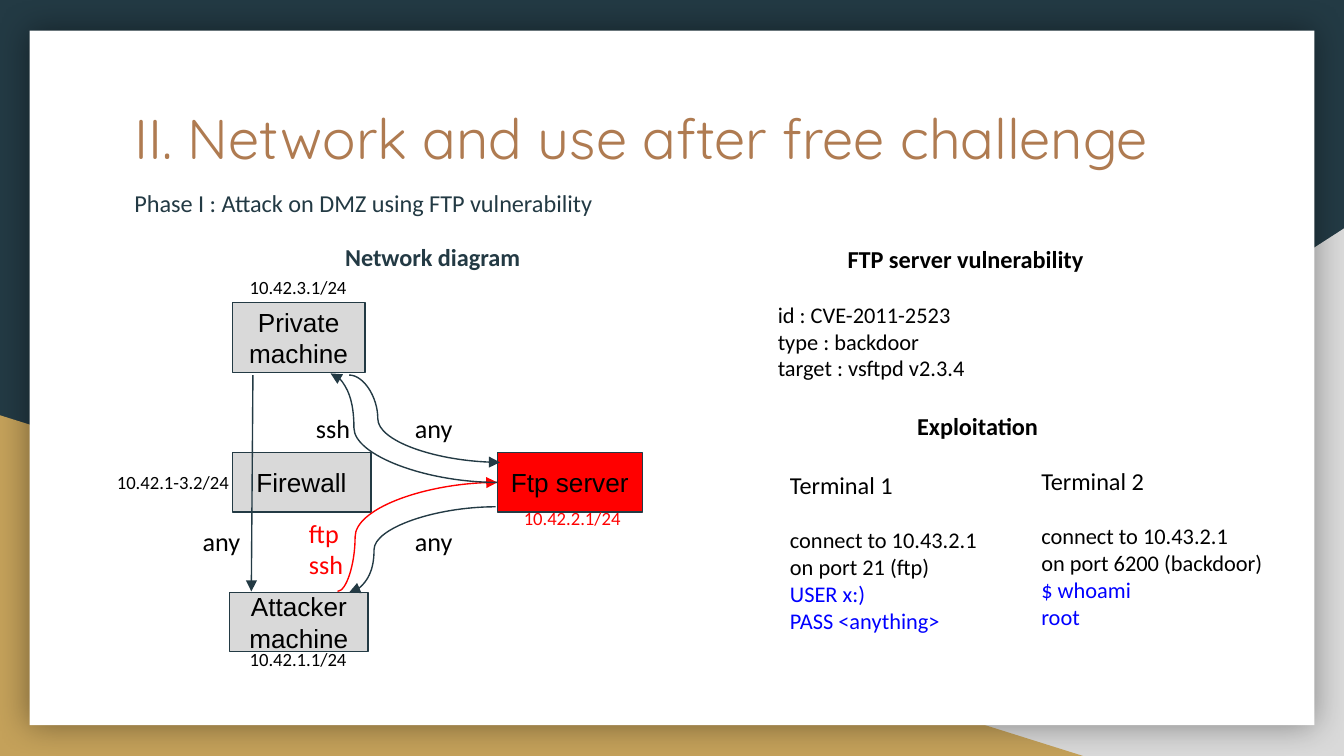
from lxml import etree
from pptx import Presentation
from pptx.dml.color import RGBColor
from pptx.enum.shapes import MSO_CONNECTOR, MSO_SHAPE
from pptx.enum.text import MSO_ANCHOR, PP_ALIGN
from pptx.oxml.ns import qn
from pptx.util import Cm, Pt

RECT, WEDGE = MSO_SHAPE.RECTANGLE, MSO_SHAPE.RIGHT_TRIANGLE
CURVE, LINE = MSO_CONNECTOR.CURVE, MSO_CONNECTOR.STRAIGHT
TOP, MIDDLE = MSO_ANCHOR.TOP, MSO_ANCHOR.MIDDLE
LEFT, CENTER = PP_ALIGN.LEFT, PP_ALIGN.CENTER

WIDE, HIGH = 25.4, 14.29
INK, GRAY, GOLD, BROWN = "233A44", "D9D9D9", "C4A15A", "AF7B51"
BLACK, WHITE, RED, BLUE = "000000", "FFFFFF", "FF0000", "0000FF"


def rgb(code):
    return RGBColor.from_string(code)


def place(shape, left, top, width, height):
    shape.left, shape.top = Cm(left), Cm(top)
    shape.width, shape.height = Cm(width), Cm(height)


def style(para, size, color=BLACK, bold=False, align=LEFT, before=0,
          font="Calibri"):
    para.alignment = align
    para.space_before = Pt(before)
    for run in para.runs:
        run.font.name, run.font.size = font, Pt(size)
        run.font.bold = bold
        run.font.color.rgb = rgb(color)


def frame(shape, anchor=TOP):
    body = shape.text_frame
    body.word_wrap = True
    body.vertical_anchor = anchor
    body.margin_left = body.margin_right = Cm(0.25)
    body.margin_top = body.margin_bottom = Cm(0.25)
    return body


def add_text(slide, area, rows, spacing=None):
    """Each row is a text and a dict of style options."""
    body = frame(slide.shapes.add_textbox(*map(Cm, area)))
    body.text = "\n".join(text for text, _ in rows)
    for para, (_, look) in zip(body.paragraphs, rows):
        style(para, **look)
        para.line_spacing = spacing


def add_block(slide, kind, area, fill):
    shape = slide.shapes.add_shape(kind, *map(Cm, area))
    shape.shadow.inherit = False
    shape.fill.solid()
    shape.fill.fore_color.rgb = rgb(fill)
    shape.line.fill.background()
    return shape


def add_node(slide, area, text, fill=GRAY):
    node = add_block(slide, RECT, area, fill)
    node.line.color.rgb = rgb(INK)
    node.line.width = Pt(0.75)
    body = frame(node, MIDDLE)
    body.text = text
    style(body.paragraphs[0], 14, align=CENTER, font="Arial")


def add_arrow(slide, ends, bend=None, color=INK):
    """Bend is the share of the width at which a curve turns."""
    kind = LINE if bend is None else CURVE
    arrow = slide.shapes.add_connector(kind, *map(Cm, ends))
    arrow.line.color.rgb = rgb(color)
    arrow.line.width = Pt(0.75)
    props = arrow._element.spPr
    if bend is not None:
        guides = props.find(qn("a:prstGeom")).get_or_add_avLst()
        etree.SubElement(guides, qn("a:gd"), name="adj1",
                         fmla=f"val {round(bend * 100000)}")
    etree.SubElement(props.find(qn("a:ln")), qn("a:tailEnd"), type="triangle")
    etree.SubElement(props, qn("a:effectLst"))


def add_glow(shape):
    effects = shape._element.spPr.find(qn("a:effectLst"))
    shade = etree.SubElement(effects, qn("a:outerShdw"), blurRad=str(Pt(18)),
                             dist="0", dir="0", algn="ctr", rotWithShape="0")
    tint = etree.SubElement(shade, qn("a:srgbClr"), val=BLACK)
    etree.SubElement(tint, qn("a:alpha"), val="40000")


def add_backdrop(slide):
    slide.background.fill.solid()
    slide.background.fill.fore_color.rgb = rgb(INK)
    right = add_block(slide, WEDGE, (9.96, 4.32, WIDE - 9.96, HIGH - 4.32), GRAY)
    right._element.spPr.find(qn("a:xfrm")).set("flipH", "1")
    add_block(slide, WEDGE, (0, 7.85, 20.47, HIGH - 7.85), GOLD)
    add_glow(add_block(slide, RECT, (0.56, 0.58, 24.28, 13.13), WHITE))


def add_title(slide):
    title = slide.shapes.title
    slide.shapes._spTree.append(title._element)  # in front of the panel
    place(title, 2.29, 1.7, 20.85, 2.64)
    body = frame(title)
    body.text = "II. Network and use after free challenge"
    style(body.paragraphs[0], 30, BROWN, font="Quicksand")


def add_network(slide):
    # Machines
    add_node(slide, (4.39, 5.72, 2.51, 1.32), "Private machine")
    add_node(slide, (9.4, 8.56, 2.74, 1.12), "Ftp server", RED)
    add_node(slide, (4.39, 8.56, 2.62, 1.12), "Firewall")
    add_node(slide, (4.34, 11.2, 2.62, 1.12), "Attacker machine")

    # Traffic
    add_arrow(slide, (9.37, 9.58, 6.6, 11.2), 0.83)
    add_arrow(slide, (6.38, 11.18, 9.4, 9.12), 0.11, RED)
    add_arrow(slide, (4.78, 7.09, 4.75, 11.18))
    add_arrow(slide, (6.6, 7.09, 9.45, 8.74), 0.19)
    add_arrow(slide, (9.4, 9.12, 6.25, 7.06), 0.86)

    # Protocols and addresses
    labels = [
        (7.59, 7.54, "any", 14, BLACK),
        (5.72, 7.54, "ssh", 14, BLACK),
        (7.59, 9.68, "any", 14, BLACK),
        (5.59, 9.53, "ftp\nssh", 14, RED),
        (3.58, 9.68, "any", 14, BLACK),
        (4.47, 5, "10.42.3.1/24", 10, BLACK),
        (4.47, 12.04, "10.42.1.1/24", 10, BLACK),
        (9.65, 9.37, "10.42.2.1/24", 10, RED),
        (1.96, 8.69, "10.42.1-3.2/24", 10, BLACK),
    ]
    for left, top, text, size, color in labels:
        look = dict(size=size, color=color)
        rows = [(line, look) for line in text.split("\n")]
        add_text(slide, (left, top, 11.1, 0.3 + 0.06 * size * len(rows)), rows)


def add_notes(slide):
    head = dict(size=13, bold=True, align=CENTER)
    plain, code = dict(size=12), dict(size=12, color=BLUE)
    first = dict(size=12, before=14.6)
    add_text(slide, (14.45, 4.37, 7.59, 3.12), [
        ("FTP server vulnerability", head),
        ("id : CVE-2011-2523", first),
        ("type : backdoor", plain),
        ("target : vsftpd v2.3.4", plain),
    ])
    add_text(slide, (14.68, 7.52, 7.59, 5.26), [
        ("Exploitation", head),
        ("Terminal 1", dict(size=13, before=15.9)),
        ("connect to 10.43.2.1", first),
        ("on port 21 (ftp)", plain),
        ("USER x:)", code),
        ("PASS <anything>", code),
    ])
    add_text(slide, (19.43, 8.56, 4.95, 3.63), [
        ("Terminal 2", dict(size=13)),
        ("connect to 10.43.2.1", first),
        ("on port 6200 (backdoor)", plain),
        ("$ whoami", code),
        ("root", code),
    ])


def main():
    deck = Presentation()
    deck.slide_width, deck.slide_height = Cm(WIDE), Cm(HIGH)
    slide = deck.slides.add_slide(deck.slide_layouts[5])
    add_backdrop(slide)
    add_title(slide)

    # Headings
    add_text(slide, (3.12, 4.24, 10.11, 1.2), [
        ("Network diagram", dict(size=13, color=INK, bold=True, align=CENTER)),
    ], 1.15)
    add_text(slide, (2.29, 3.23, 14.88, 1.45), [
        ("Phase I : Attack on DMZ using FTP vulnerability",
         dict(size=13, color=INK)),
    ], 1.15)

    add_network(slide)
    add_notes(slide)
    deck.save("out.pptx")


if __name__ == "__main__":
    main()
